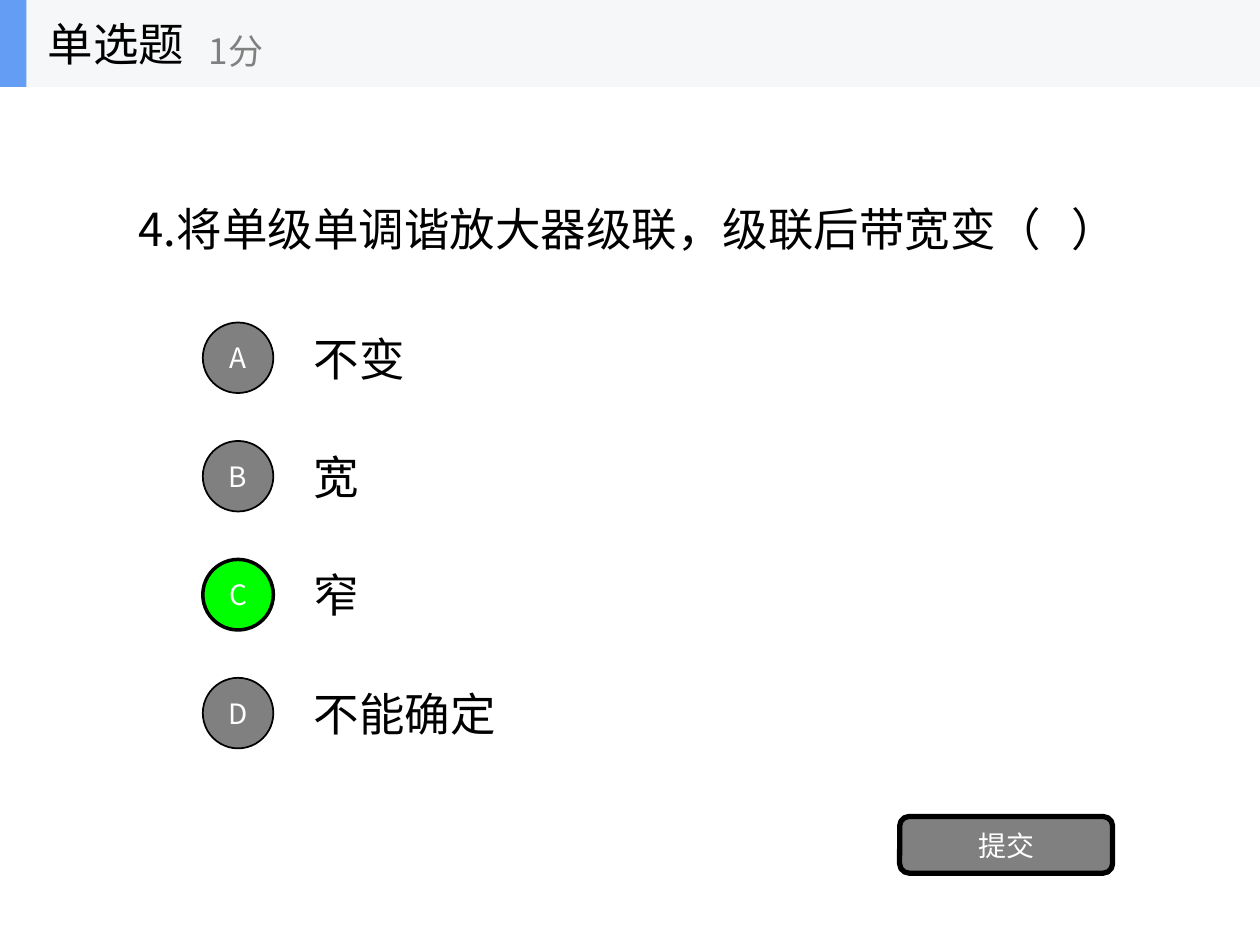
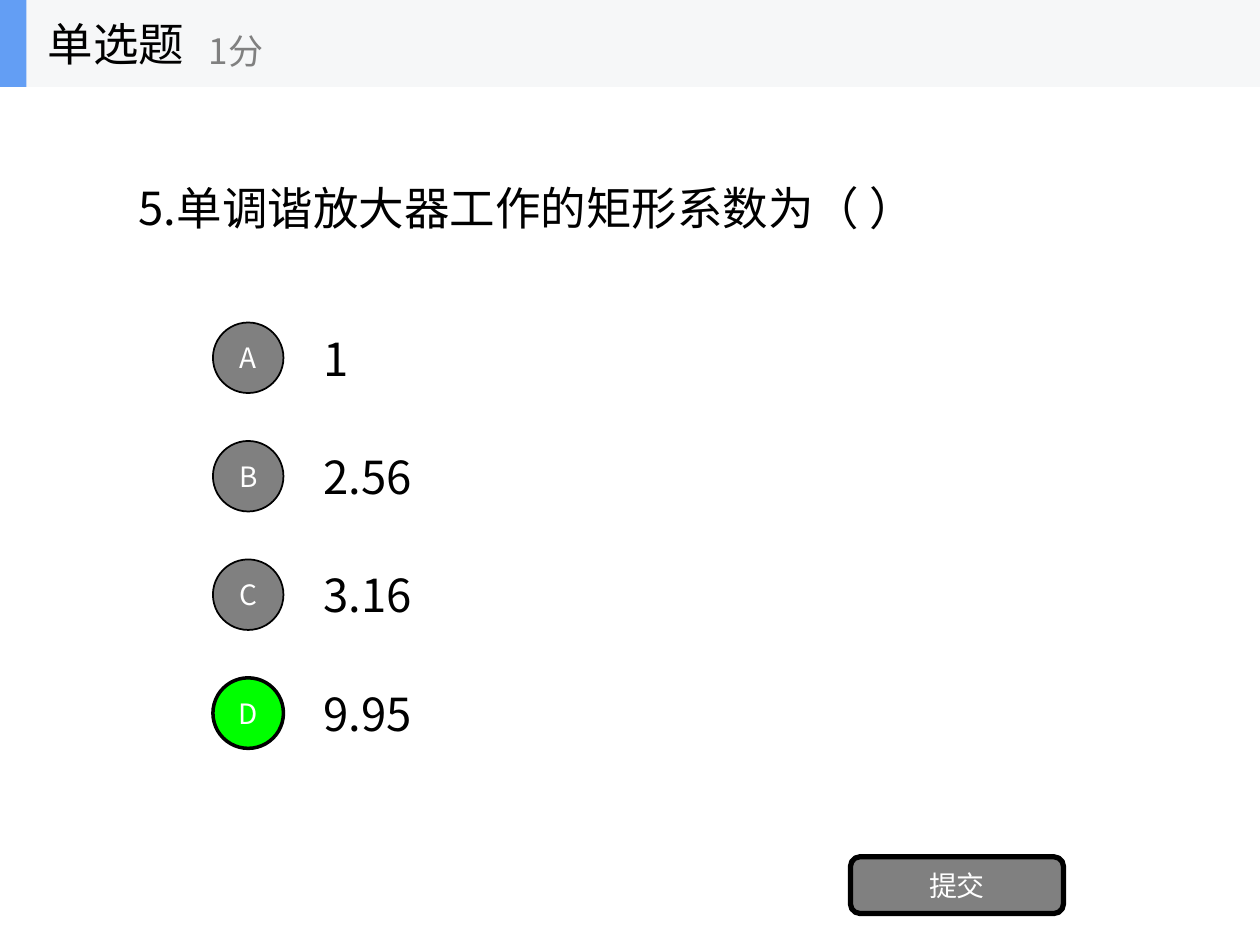
"""Build two single-choice quiz slides with a shared header band."""
from lxml import etree
from pptx import Presentation
from pptx.dml.color import RGBColor
from pptx.enum.shapes import MSO_SHAPE
from pptx.enum.text import MSO_ANCHOR, MSO_AUTO_SIZE, PP_ALIGN
from pptx.oxml.ns import qn
from pptx.util import Inches, Pt

RECTANGLE, ROUNDED, CIRCLE = MSO_SHAPE.RECTANGLE, MSO_SHAPE.ROUNDED_RECTANGLE, MSO_SHAPE.OVAL
LEFT, CENTER = PP_ALIGN.LEFT, PP_ALIGN.CENTER
MIDDLE, NO_FIT = MSO_ANCHOR.MIDDLE, MSO_AUTO_SIZE.NONE

QUESTIONS = [
    {
        "question": "4.将单级单调谐放大器级联，级联后带宽变（   ）",
        "options": ["不变", "宽", "窄", "不能确定"],
        "answer": "C",
        "question_top": 0.86,
        "badge_left": 1.61,
        "submit_at": (7.14, 6.48),
    },
    {
        "question": "5.单调谐放大器工作的矩形系数为（ ）",
        "options": ["1", "2.56", "3.16", "9.95"],
        "answer": "D",
        "question_top": 0.69,
        "badge_left": 1.69,
        "submit_at": (6.75, 6.8),
    },
]
QUESTION_TYPE, SCORE, SUBMIT = "单选题", "1分", "提交"

FONT = "Noto Sans CJK SC"
COLORS = {
    "text": "000000",
    "light": "FFFFFF",
    "muted": "808080",
    "correct": "00FF00",
    "band": "F6F7F8",
    "accent": "639EF4",
}
TEXT_SIZE, SCORE_SIZE, BUTTON_SIZE = 26, 20, 16
BAND_HEIGHT = 0.69
OPTION_TOP, OPTION_PITCH, OPTION_HEIGHT = 2.49, 0.94, 0.7
BADGE_SIZE, LABEL_OFFSET = 0.56, 0.78
QUESTION_BOTTOM_INSET = 0.48


def color(name):
    return RGBColor.from_string(COLORS[name])


def write(box, text, size, ink, align=LEFT):
    frame = box.text_frame
    frame.text = text
    frame.word_wrap = True
    frame.auto_size = NO_FIT
    frame.vertical_anchor = MIDDLE
    paragraph = frame.paragraphs[0]
    paragraph.alignment = align
    paragraph.font.size = Pt(size)
    paragraph.font.color.rgb = color(ink)
    paragraph.font.name = FONT
    defaults = paragraph._p.pPr.find(qn("a:defRPr"))
    etree.SubElement(defaults, qn("a:ea"), typeface=FONT)


def add_text(shapes, place, text, size=TEXT_SIZE, ink="text"):
    write(shapes.add_textbox(*map(Inches, place)), text, size, ink)


def add_block(shapes, kind, place, fill, line_width=0):
    block = shapes.add_shape(kind, *map(Inches, place))
    block.shadow.inherit = False
    block.fill.solid()
    block.fill.fore_color.rgb = color(fill)
    if line_width:
        block.line.color.rgb = color("text")
        block.line.width = Pt(line_width)
    else:
        block.line.fill.background()
    return block


def add_button(shapes, kind, place, text, fill, line_width):
    button = add_block(shapes, kind, place, fill, line_width)
    write(button, text, BUTTON_SIZE, "light", CENTER)
    frame = button.text_frame
    frame.margin_left = frame.margin_right = frame.margin_top = frame.margin_bottom = 0


def add_question(page, text, top):
    title = page.shapes.title
    title.left, title.top, title.width, title.height = map(Inches, (1, top, 8, 2.34))
    write(title, text, TEXT_SIZE, "text")
    title.text_frame.margin_bottom = Inches(QUESTION_BOTTOM_INSET)


def add_options(page, options, answer, left):
    for index, (letter, label) in enumerate(zip("ABCD", options)):
        top = OPTION_TOP + index * OPTION_PITCH
        add_text(page.shapes, (left + LABEL_OFFSET, top, 7, OPTION_HEIGHT), label)
        badge_top = top + (OPTION_HEIGHT - BADGE_SIZE) / 2
        fill, line_width = ("correct", 2) if letter == answer else ("muted", 1)
        add_button(page.shapes, CIRCLE, (left, badge_top, BADGE_SIZE, BADGE_SIZE),
                   letter, fill, line_width)


def add_header(page):
    header = page.shapes.add_group_shape().shapes
    add_block(header, RECTANGLE, (0, 0, 10, BAND_HEIGHT), "band")
    add_block(header, RECTANGLE, (0, 0, 0.21, BAND_HEIGHT), "accent")
    add_text(header, (0.28, 0, 2.08, BAND_HEIGHT), QUESTION_TYPE)
    add_text(header, (1.56, 0.12, 2.5, 0.56), SCORE, SCORE_SIZE, "muted")


def main():
    deck = Presentation()
    deck.slide_width, deck.slide_height = Inches(10), Inches(7.5)
    title_only = deck.slide_layouts[5]
    for item in QUESTIONS:
        page = deck.slides.add_slide(title_only)
        add_question(page, item["question"], item["question_top"])
        add_options(page, item["options"], item["answer"], item["badge_left"])
        add_button(page.shapes, ROUNDED, (*item["submit_at"], 1.69, 0.45), SUBMIT, "muted", 3)
        add_header(page)
    deck.save("out.pptx")


if __name__ == "__main__":
    main()
